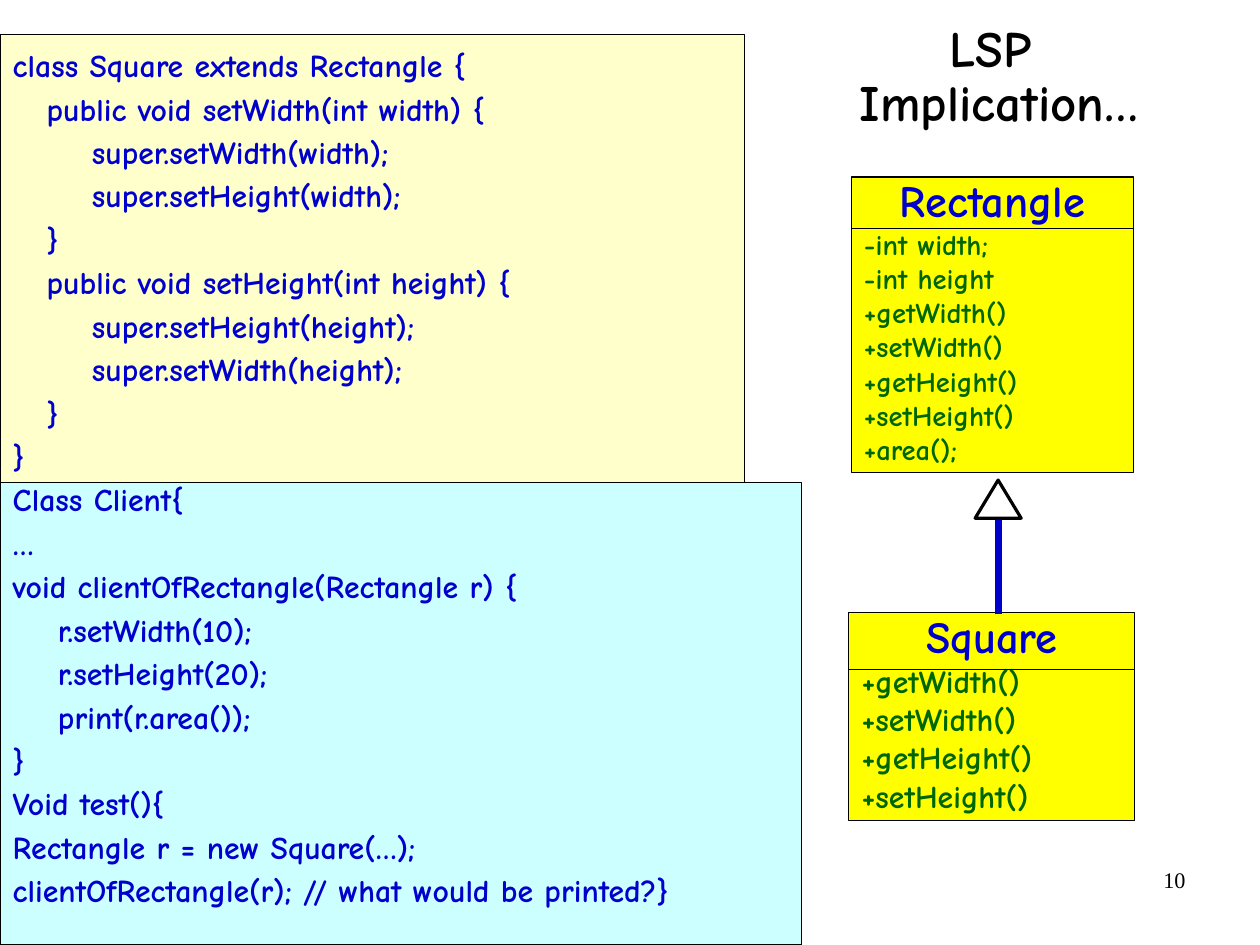
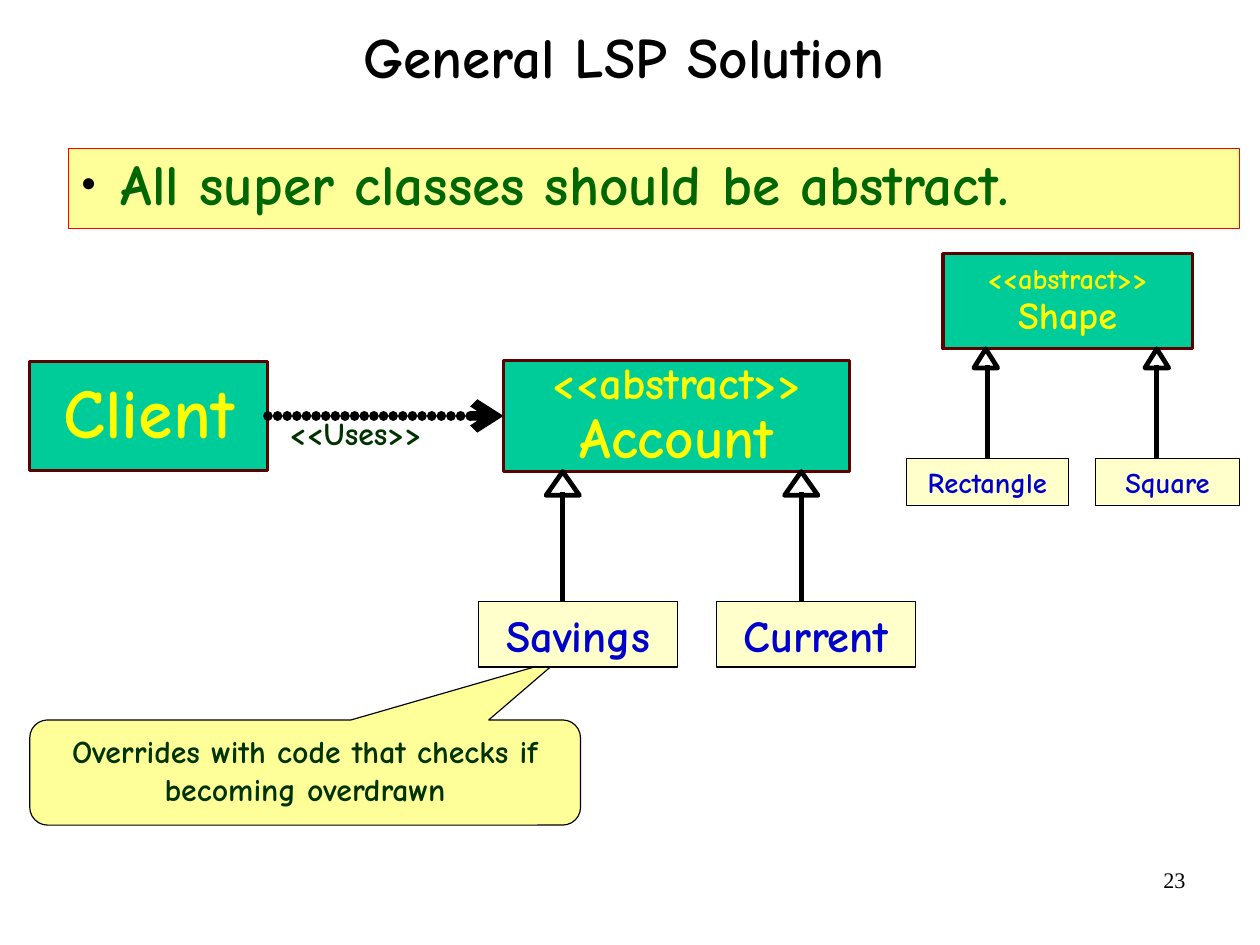
from copy import deepcopy
from pptx import Presentation
from pptx.util import Pt
from pptx.dml.color import RGBColor
from pptx.enum import shapes, text
from pptx.oxml import ns, xmlchemy as xml

# Shared look
HUE = dict(black="000000", white="FFFFFF", blue="0000CC", green="006600",
           dark="003300", cream="FFFFCC", lemon="FFFF99", cyan="CCFFFF",
           yellow="FFFF00", teal="00CC99", brown="5C0000", red="FF0000")
FACE, SERIF = "Comic Neue", "Times New Roman"
KIND = shapes.MSO_SHAPE
LEFT, MID, RIGHT = text.PP_ALIGN.LEFT, text.PP_ALIGN.CENTER, text.PP_ALIGN.RIGHT
TOP, CORE = text.MSO_ANCHOR.TOP, text.MSO_ANCHOR.MIDDLE
SIDES = "left", "top", "width", "height"
PAD, NONE = (8, 4.3), (0, 0)

# Slide 1 content
CODE = [
    "class Square extends Rectangle {",
    "   public void setWidth(int width) {",
    "       super.setWidth(width);",
    "       super.setHeight(width);",
    "   }",
    "   public void setHeight(int height) {",
    "       super.setHeight(height);",
    "       super.setWidth(height);",
    "   }",
    "}",
    "Class Client{",
    "…",
    "void clientOfRectangle(Rectangle r) {",
    "    r.setWidth(10);",
    "    r.setHeight(20);",
    "    print(r.area());",
    "}",
    "Void test(){",
    "Rectangle r = new Square(…);",
    "clientOfRectangle(r); // what would be printed?}",
]
PANELS = [((0, 303.75, 505, 291.5), "cyan"), ((0, 21.5, 469, 282.25), "cream")]
CALLS = ["+getWidth()", "+setWidth()", "+getHeight()", "+setHeight()"]
# name, box, divider y, member size, members
CLASSES = [
    ("Rectangle", (536.25, 111.5, 178, 186), 144, 18,
     ["-int width;", "-int height", *CALLS, "+area();"]),
    ("Square", (534.75, 385.75, 180, 131), 421.5, 20, CALLS),
]

# Slide 2 content
RULE = "All super classes should be abstract."
NOTE = "Overrides with code that checks if becoming overdrawn"
# parent, box, sizes, head size, child size, children (name, box, arrow x)
TREES = [
    ("Account", (317.25, 227, 218, 70), (28, 36), (21, 15), 28,
     [("Savings", (301.5, 378.75, 125.5, 41.5), 354.5),
      ("Current", (451.25, 378.75, 125.5, 41.5), 504.75)]),
    ("Shape", (594, 159.75, 157, 60), (18, 24), (15, 12), 18,
     [("Rectangle", (571, 288.75, 102, 29.5), 621),
      ("Square", (690.25, 288.75, 90.5, 29.5), 728.75)]),
]


def tint(hue):
    return RGBColor.from_string(HUE[hue])


def row(words, size, hue, align=LEFT, gap=1.0, face=FACE, bold=True):
    """One paragraph: its words, its layout and its font."""
    return (words, dict(alignment=align, line_spacing=gap, space_before=Pt(0)),
            dict(size=Pt(size), name=face, bold=bold), hue)


def write(shape, rows, pad=PAD, anchor=TOP):
    frame = shape.text_frame
    form = dict(word_wrap=True, auto_size=text.MSO_AUTO_SIZE.NONE,
                vertical_anchor=anchor,
                margin_left=Pt(pad[0]), margin_right=Pt(pad[0]),
                margin_top=Pt(pad[1]), margin_bottom=Pt(pad[1]))
    for key, val in form.items():
        setattr(frame, key, val)
    for i, (words, lay, font, hue) in enumerate(rows):
        para = frame.add_paragraph() if i else frame.paragraphs[0]
        para.text = words
        for key, val in lay.items():
            setattr(para, key, val)
        for run in para.runs:
            for key, val in font.items():
                setattr(run.font, key, val)
            run.font.color.rgb = tint(hue)
        # A line break takes the size of the text around it
        for brk in para._p.findall(ns.qn("a:br")):
            brk.insert(0, deepcopy(para.runs[0]._r.rPr))


def place(shape, box):
    for key, val in zip(SIDES, box):
        setattr(shape, key, Pt(val))


def paint(shape, fill, line="black", wide=0.75):
    if fill:
        shape.fill.solid()
        shape.fill.fore_color.rgb = tint(fill)
    else:
        shape.fill.background()
    shape.line.color.rgb = tint(line)
    shape.line.width = Pt(wide)


def block(slide, box, fill, rows=(), line="black", wide=0.75, anchor=TOP,
          kind=KIND.RECTANGLE):
    shape = slide.shapes.add_shape(kind, *map(Pt, box))
    shape.shadow.inherit = False
    paint(shape, fill, line, wide)
    if rows:
        write(shape, rows, anchor=anchor)
    return shape


def label(slide, box, rows, pad=PAD):
    write(slide.shapes.add_textbox(*map(Pt, box)), rows, pad)


def node(tag, **keys):
    part = xml.OxmlElement(tag)
    for key, val in keys.items():
        part.set(key, val)
    return part


def link(slide, ends, wide=0.75, hue="black", tip=None, dots=False):
    wire = slide.shapes.add_connector(shapes.MSO_CONNECTOR.STRAIGHT,
                                      *map(Pt, ends))
    wire.line.color.rgb = tint(hue)
    wire.line.width = Pt(wide)
    pen = wire.line._get_or_add_ln()
    if dots:
        # Round dots that touch
        pen.set("cap", "rnd")
        dash = node("a:custDash")
        dash.append(node("a:ds", d="100000", sp="1000"))
        pen.append(dash)
    if tip:
        pen.append(node("a:tailEnd", type=tip))
    wire._element.spPr.append(node("a:effectLst"))
    return wire


def head(slide, x, top, size, fill=None, wide=3):
    """Hollow triangle with its tip at x, top."""
    wid, high = size
    block(slide, (x - wid / 2, top, wid, high), fill, wide=wide,
          kind=KIND.ISOSCELES_TRIANGLE)


def start(deck, layout, title, box, size, num):
    slide = deck.slides.add_slide(deck.slide_layouts[layout])
    place(slide.shapes.title, box)
    write(slide.shapes.title, [row(title, size, "black", MID, 0.88)], NONE, CORE)
    label(slide, (569, 542, 185, 41),
          [row(num, 14, "black", RIGHT, face=SERIF, bold=False)], (7.2, 3.6))
    return slide


def implication(deck):
    slide = start(deck, 5, "LSP \vImplication…", (515, 2, 229, 95), 32, "10")
    for box, fill in PANELS:
        block(slide, box, fill)
    label(slide, (0, 21.25, 505, 555),
          [row(line, 20, "blue", gap=1.14) for line in CODE])
    # Class boxes
    for name, box, y, size, members in CLASSES:
        block(slide, box, "yellow", [row(name, 28, "blue", MID, 0.8)]
              + [row(item, size, "green") for item in members])
        link(slide, (box[0], y, box[0] + box[2], y))
    # Inheritance arrow
    x = 628.8
    link(slide, (x, 387, x, 304), 4.5, "blue", "triangle")
    head(slide, x, 302.4, (29, 24), "white", 2)


def dot(para):
    """Small black bullet with a hanging indent."""
    props = para._p.get_or_add_pPr()
    props.set("marL", str(Pt(33)))
    props.set("indent", str(Pt(-25)))
    hue = node("a:buClr")
    hue.append(node("a:srgbClr", val=HUE["black"]))
    for part in (hue, node("a:buSzPct", val="45000"),
                 node("a:buChar", char="●")):
        props.append(part)


def solution(deck):
    slide = start(deck, 1, "General LSP Solution", (54.5, 0, 677, 75.5), 36, "23")
    body = slide.placeholders[1]
    place(body, (43, 93.5, 738, 50.5))
    paint(body, "lemon", "red")
    write(body, [row(RULE, 36, "green")], NONE)
    dot(body.text_frame.paragraphs[0])
    # Callout
    note = block(slide, (18.75, 453.5, 347, 66.25), "lemon",
                 [row(NOTE, 20, "dark", MID)],
                 kind=KIND.ROUNDED_RECTANGULAR_CALLOUT)
    for i, val in enumerate((0.46, -1.07, 0.17)):
        note.adjustments[i] = val
    # Client and class trees
    edge = dict(line="brown", wide=2, anchor=CORE)
    client = block(slide, (18.75, 227.5, 150, 69), "teal",
                   [row("Client", 44, "yellow", MID, 0.9)], **edge)
    tops = {}
    for name, box, sizes, tri, size, kids in TREES:
        tops[name] = block(slide, box, "teal",
                           [row(words, pts, "yellow", MID, 0.9) for words, pts
                            in zip(("<<abstract>>", name), sizes)], **edge)
        foot = box[1] + box[3]
        for kid, spot, x in kids:
            child = block(slide, spot, "cream", [row(kid, size, "blue", MID)])
            stem = link(slide, (x, spot[1], x, foot + tri[1] - 2), 3)
            if abs(spot[0] + spot[2] / 2 - x) < 2:
                stem.begin_connect(child, 0)
                stem.end_x = stem.begin_x
            head(slide, x, foot, tri)
    # Dotted use arrow
    use = link(slide, (168.75, 262, 317.25, 262), 6, tip="arrow", dots=True)
    use.begin_connect(client, 3)
    use.end_connect(tops["Account"], 1)
    label(slide, (175, 261.5, 126, 26.5),
          [row("<<Uses>>", 20, "dark", gap=0.8)], (7.2, 3.6))


def main():
    deck = Presentation()
    deck.slide_width, deck.slide_height = Pt(793.75), Pt(595.25)
    implication(deck)
    solution(deck)
    deck.save("out.pptx")


if __name__ == "__main__":
    main()
